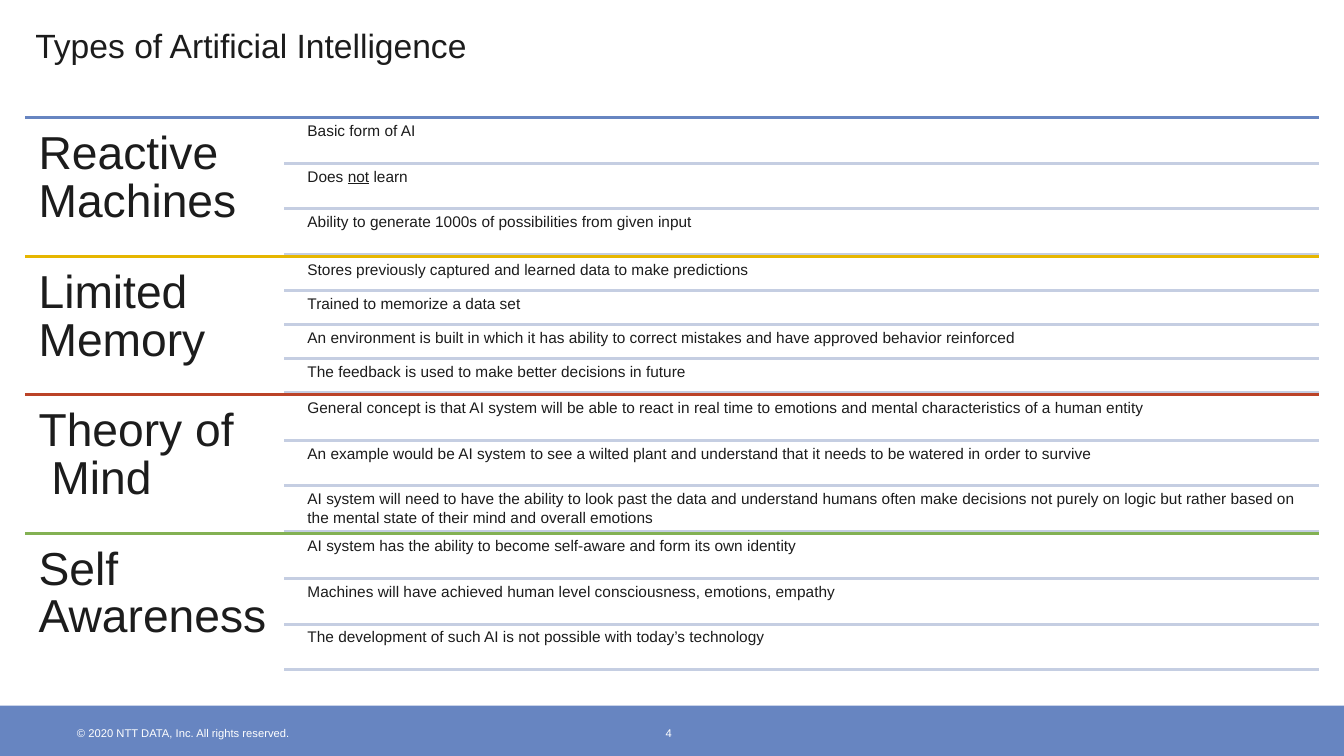
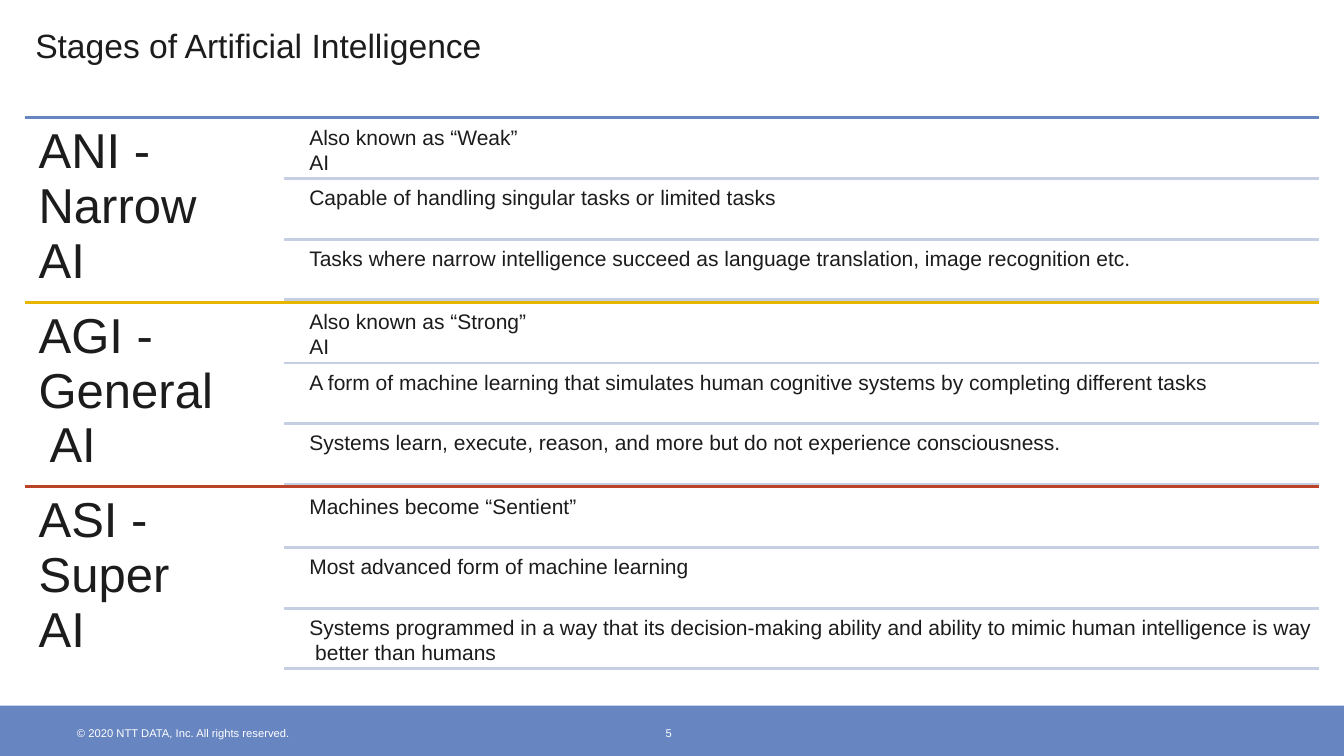
from lxml import etree
from pptx import Presentation
from pptx.dml.color import RGBColor
from pptx.enum.shapes import MSO_CONNECTOR, MSO_SHAPE
from pptx.enum.text import MSO_ANCHOR, PP_ALIGN
from pptx.oxml.ns import qn
from pptx.util import Pt

INK, BLUE, PALE, WHITE = "1C1C1C", "6785C1", "C5CEE2", "FFFFFF"
GROUP_COLORS = [BLUE, "E6B600", "BB4328", "83B153"]
WIDTH, HEIGHT = 960, 540
LEFT, ROW_LEFT, RIGHT = 18, 203, 942
FIRST_LINE = 84.2
BAND_TOP = 504

# Lines of a text are split by "\n"; underlined words stand between underscores.
SLIDES = [
    dict(
        title="Types of Artificial Intelligence", number="4",
        pitch=98.9, rows_height=97.5,
        heading=dict(size=33, leading=34.2), heading_gap=9.4,
        row=dict(size=11), row_left=219.6, row_gap=2.4,
        groups=[
            ("Reactive\nMachines", [
                "Basic form of AI",
                "Does _not_ learn",
                "Ability to generate 1000s of possibilities from given input",
            ]),
            ("Limited\nMemory", [
                "Stores previously captured and learned data to make predictions",
                "Trained to memorize a data set",
                "An environment is built in which it has ability to correct mistakes "
                "and have approved behavior reinforced",
                "The feedback is used to make better decisions in future",
            ]),
            ("Theory of\n Mind", [
                "General concept is that AI system will be able to react in real time "
                "to emotions and mental characteristics of a human entity",
                "An example would be AI system to see a wilted plant and understand "
                "that it needs to be watered in order to survive",
                "AI system will need to have the ability to look past the data and "
                "understand humans often make decisions not purely on logic but "
                "rather based on\n"
                "the mental state of their mind and overall emotions",
            ]),
            ("Self\nAwareness", [
                "AI system has the ability to become self-aware and form its own identity",
                "Machines will have achieved human level consciousness, emotions, empathy",
                "The development of such AI is not possible with today’s technology",
            ]),
        ],
    ),
    dict(
        title="Stages of Artificial Intelligence", number="5",
        pitch=131.8, rows_height=130,
        heading=dict(size=35, leading=39.1), heading_gap=4.4,
        row=dict(size=15), row_left=221, row_gap=4.4,
        groups=[
            ("ANI -\nNarrow\nAI", [
                "Also known as “Weak”\nAI",
                "Capable of handling singular tasks or limited tasks",
                "Tasks where narrow intelligence succeed as language translation, "
                "image recognition etc.",
            ]),
            ("AGI -\nGeneral\n AI", [
                "Also known as “Strong”\nAI",
                "A form of machine learning that simulates human cognitive systems "
                "by completing different tasks",
                "Systems learn, execute, reason, and more but do not experience "
                "consciousness.",
            ]),
            ("ASI -\nSuper\nAI", [
                "Machines become “Sentient”",
                "Most advanced form of machine learning",
                "Systems programmed in a way that its decision-making ability and "
                "ability to mimic human intelligence is way\n better than humans",
            ]),
        ],
    ),
]


def rgb(hex_color):
    return RGBColor.from_string(hex_color)


def add_text(s, text, x, y, w, h, size, color=INK, leading=None, sp=None):
    """Write text at a place, in a new text box or in the given placeholder."""
    sp = sp or s.shapes.add_textbox(0, 0, 0, 0)
    sp.left, sp.top, sp.width, sp.height = Pt(x), Pt(y), Pt(w), Pt(h)
    tf = sp.text_frame
    tf.word_wrap = True
    tf.vertical_anchor = MSO_ANCHOR.TOP
    tf.margin_left = tf.margin_top = tf.margin_right = tf.margin_bottom = 0
    for i, line in enumerate(text.split("\n")):
        p = tf.add_paragraph() if i else tf.paragraphs[0]
        p.alignment = PP_ALIGN.LEFT
        if leading:
            p.line_spacing = Pt(leading)
        for k, part in enumerate(line.split("_")):
            r = p.add_run()
            r.text = part
            r.font.name, r.font.size = "Arial", Pt(size)
            r.font.color.rgb = rgb(color)
            if k % 2:
                r.font.underline = True


prs = Presentation()
prs.slide_width, prs.slide_height = Pt(WIDTH), Pt(HEIGHT)

for page in SLIDES:
    s = prs.slides.add_slide(prs.slide_layouts[5])
    add_text(s, page["title"], 25.2, 18, 600, 30, size=24, sp=s.shapes.title)

    band = s.shapes.add_shape(MSO_SHAPE.RECTANGLE, 0, Pt(BAND_TOP),
                              Pt(WIDTH), Pt(HEIGHT - BAND_TOP))
    band.shadow.inherit = False
    band.fill.solid()
    band.fill.fore_color.rgb = rgb(BLUE)
    band.line.fill.background()
    add_text(s, "© 2020 NTT DATA, Inc. All rights reserved.",
             55, 518.6, 200, 11, size=8, color=WHITE)
    add_text(s, page["number"], 475.4, 518.6, 15, 11, size=8, color=WHITE)

    rules = []
    for g, (heading, rows) in enumerate(page["groups"]):
        top = FIRST_LINE + g * page["pitch"]
        row_height = page["rows_height"] / len(rows)
        rules.append((LEFT, top, GROUP_COLORS[g]))
        add_text(s, heading, 27.6, top + page["heading_gap"], 172,
                 page["heading"]["leading"] * len(heading.split("\n")),
                 **page["heading"])
        for i, row in enumerate(rows):
            row_top = top + i * row_height
            rules.append((ROW_LEFT, row_top + row_height, PALE))
            add_text(s, row, page["row_left"], row_top + page["row_gap"],
                     WIDTH - 5 - page["row_left"], row_height - page["row_gap"],
                     **page["row"])

    for x, y, color in rules:
        rule = s.shapes.add_connector(MSO_CONNECTOR.STRAIGHT,
                                      Pt(x), Pt(y), Pt(RIGHT), Pt(y))
        rule.line.color.rgb = rgb(color)
        rule.line.width = Pt(2)
        etree.SubElement(rule._element.spPr, qn("a:effectLst"))

prs.save("out.pptx")
